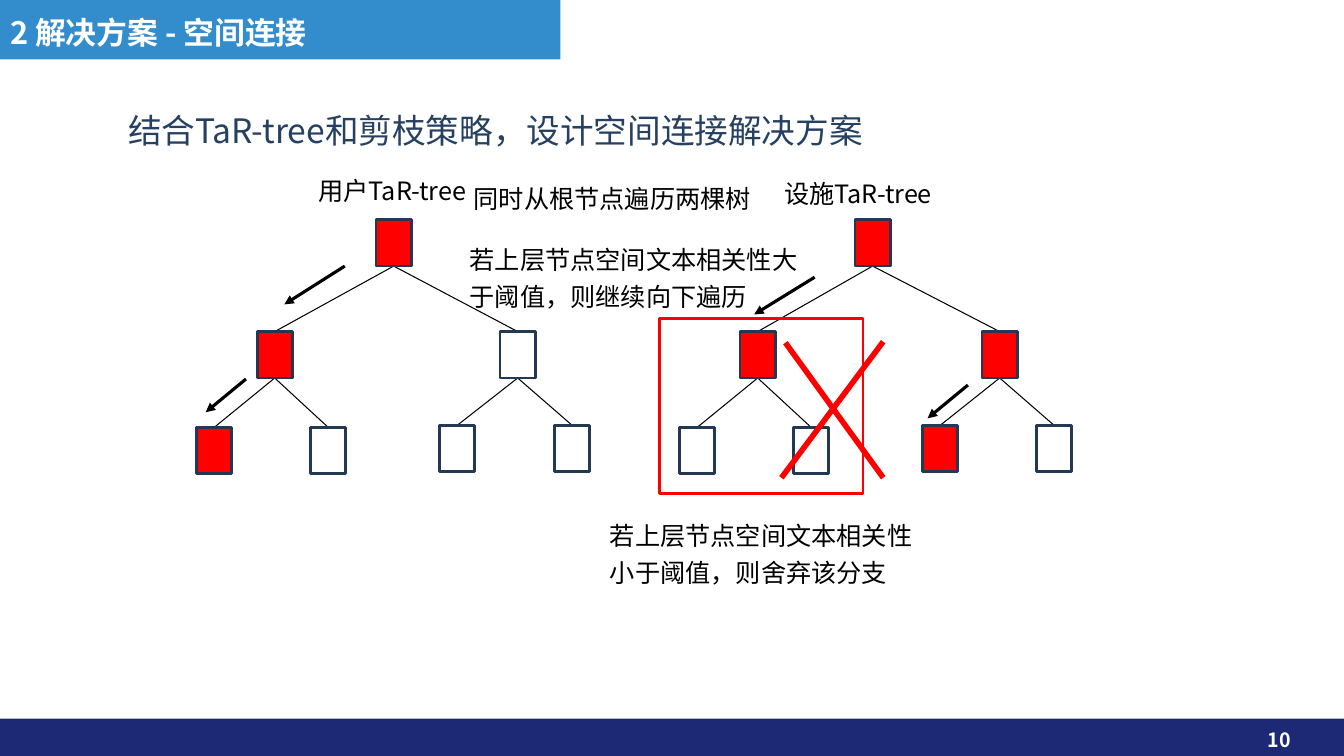
from dataclasses import dataclass

from lxml.etree import SubElement
from pptx import Presentation
from pptx.dml.color import RGBColor
from pptx.enum.shapes import MSO_CONNECTOR, MSO_SHAPE
from pptx.enum.text import MSO_ANCHOR, MSO_AUTO_SIZE, PP_ALIGN
from pptx.oxml.ns import qn
from pptx.shapes.autoshape import Shape
from pptx.slide import Slide
from pptx.util import Inches, Pt

FONT = "Noto Sans CJK SC"
NAVY = RGBColor(0x1D, 0x29, 0x74)
BLUE = RGBColor(0x00, 0x70, 0xC0)
HEADING = RGBColor(0x25, 0x40, 0x61)
OUTLINE = RGBColor(0x23, 0x39, 0x53)
RED = RGBColor(0xFF, 0x00, 0x00)
BLACK = RGBColor(0x00, 0x00, 0x00)
WHITE = RGBColor(0xFF, 0xFF, 0xFF)

NODE_WIDTH, NODE_HEIGHT = 0.35, 0.46
SINGLE_LINE = 1.28  # line height as a multiple of the text size


@dataclass(frozen=True)
class Node:
    left: float
    top: float
    visited: bool = False


@dataclass(frozen=True)
class Line:
    start: tuple[float, float]
    end: tuple[float, float]
    color: RGBColor = BLACK
    width: float = 0.75
    arrow: bool = False


@dataclass(frozen=True)
class Label:
    text: str
    left: float
    top: float
    width: float
    height: float = 0.4
    size: float = 18
    color: RGBColor = BLACK
    bold: bool = False
    line_height: float = 0
    wrap: bool = False
    align: PP_ALIGN = PP_ALIGN.LEFT
    anchor: MSO_ANCHOR = MSO_ANCHOR.TOP


# Each tree runs level by level, so the parent of node i is (i - 1) // 2
USER_TREE = [
    Node(3.73, 2.18, True),
    Node(2.55, 3.29, True), Node(4.96, 3.29),
    Node(1.95, 4.24, True), Node(3.08, 4.24), Node(4.36, 4.22), Node(5.5, 4.22),
]
FACILITY_TREE = [
    Node(8.48, 2.18, True),
    Node(7.34, 3.29, True), Node(9.74, 3.29, True),
    Node(6.74, 4.24), Node(7.87, 4.24), Node(9.15, 4.22, True), Node(10.28, 4.22),
]
TRAVERSAL_ARROWS = [
    Line(start, end, width=2.25, arrow=True)
    for start, end in [
        ((3.42, 2.64), (2.82, 3.02)),
        ((8.08, 2.75), (7.48, 3.12)),
        ((2.44, 3.76), (2.04, 4.09)),
        ((9.6, 3.82), (9.2, 4.15)),
    ]
]
PRUNING_CROSS = [
    Line((7.79, 3.4), (8.76, 4.74), RED, 4),
    Line((7.75, 4.74), (8.76, 3.39), RED, 4),
]
TITLE = Label("2 解决方案 - 空间连接", 0, 0.06, 4.96, 0.47, 22, WHITE, True)
SUBTITLE = Label("结合TaR-tree和剪枝策略，设计空间连接解决方案", 1.17, 1.01, 10.72, 0.5, 24, HEADING)
LABELS = [
    Label("用户TaR-tree", 3.06, 1.67, 1.78),
    Label("设施TaR-tree", 7.68, 1.7, 1.85),
    Label("同时从根节点遍历两棵树", 4.6, 1.75, 3.13),
    Label("若上层节点空间文本相关性大于阈值，则继续向下遍历",
          4.56, 2.31, 3.53, 0.8, line_height=26.4, wrap=True),
    Label("若上层节点空间文本相关性小于阈值，则舍弃该分支",
          5.95, 5.05, 3.26, 0.8, line_height=26.4, wrap=True),
    Label("10", 9.79, 7.13, 3.11, size=14, color=WHITE, bold=True, wrap=True,
          align=PP_ALIGN.RIGHT, anchor=MSO_ANCHOR.MIDDLE),
]


def write_label(shape: Shape, label: Label) -> None:
    """Place a text box or placeholder and format its single paragraph."""
    shape.left, shape.top = Inches(label.left), Inches(label.top)
    shape.width, shape.height = Inches(label.width), Inches(label.height)
    frame = shape.text_frame
    frame.text = label.text
    frame.auto_size = MSO_AUTO_SIZE.NONE
    frame.word_wrap = label.wrap
    frame.vertical_anchor = label.anchor
    paragraph = frame.paragraphs[0]
    paragraph.alignment = label.align
    paragraph.space_before = Pt(0)
    paragraph.line_spacing = Pt(label.line_height or round(label.size * SINGLE_LINE))
    properties = paragraph._p.get_or_add_pPr()
    properties.set("marL", "0")
    properties.set("indent", "0")
    SubElement(properties, qn("a:buNone"))
    for run in paragraph.runs:
        run.font.name = FONT
        run.font.size = Pt(label.size)
        run.font.bold = label.bold
        run.font.color.rgb = label.color
        SubElement(run._r.get_or_add_rPr(), qn("a:ea")).set("typeface", FONT)


def add_box(slide: Slide, left: float, top: float, width: float, height: float,
            fill: RGBColor | None = None, outline: RGBColor | None = None) -> Shape:
    shape = slide.shapes.add_shape(
        MSO_SHAPE.RECTANGLE, Inches(left), Inches(top), Inches(width), Inches(height))
    shape.shadow.inherit = False
    if fill is None:
        shape.fill.background()
    else:
        shape.fill.solid()
        shape.fill.fore_color.rgb = fill
    if outline is None:
        shape.line.fill.background()
    else:
        shape.line.color.rgb = outline
        shape.line.width = Pt(2)
    return shape


def add_line(slide: Slide, line: Line) -> None:
    connector = slide.shapes.add_connector(
        MSO_CONNECTOR.STRAIGHT, *(Inches(value) for value in line.start + line.end))
    connector.line.color.rgb = line.color
    connector.line.width = Pt(line.width)
    if line.arrow:
        SubElement(connector.line._get_or_add_ln(), qn("a:tailEnd")).set("type", "triangle")
    SubElement(connector._element.spPr, qn("a:effectLst"))


def add_tree(slide: Slide, nodes: list[Node]) -> None:
    for index, node in enumerate(nodes):
        if index:
            parent = nodes[(index - 1) // 2]
            add_line(slide, Line(
                (parent.left + NODE_WIDTH / 2, parent.top + NODE_HEIGHT),
                (node.left + NODE_WIDTH / 2, node.top)))
    for node in nodes:
        add_box(slide, node.left, node.top, NODE_WIDTH, NODE_HEIGHT,
                RED if node.visited else None, OUTLINE)


def main() -> None:
    presentation = Presentation()
    presentation.slide_width, presentation.slide_height = Inches(13.33), Inches(7.5)
    slide = presentation.slides.add_slide(presentation.slide_layouts[1])

    # Header banner behind the title, and footer bar
    banner = add_box(slide, 0, 0, 5.56, 0.59, BLUE)
    banner_color = banner._element.spPr.find(qn("a:solidFill")).find(qn("a:srgbClr"))
    SubElement(banner_color, qn("a:alpha")).set("val", "80000")
    slide.shapes._spTree.insert(2, banner._element)
    add_box(slide, 0, 7.13, 13.33, 0.37, NAVY)

    # Title and subtitle
    write_label(slide.shapes.title, TITLE)
    write_label(slide.placeholders[1], SUBTITLE)

    # Trees, traversal arrows and the pruned branch
    for tree in (USER_TREE, FACILITY_TREE):
        add_tree(slide, tree)
    add_box(slide, 6.54, 3.16, 2.02, 1.74, outline=RED)
    for line in TRAVERSAL_ARROWS + PRUNING_CROSS:
        add_line(slide, line)

    # Explanations and page number
    for label in LABELS:
        write_label(slide.shapes.add_textbox(0, 0, 0, 0), label)

    presentation.save("out.pptx")


if __name__ == "__main__":
    main()
